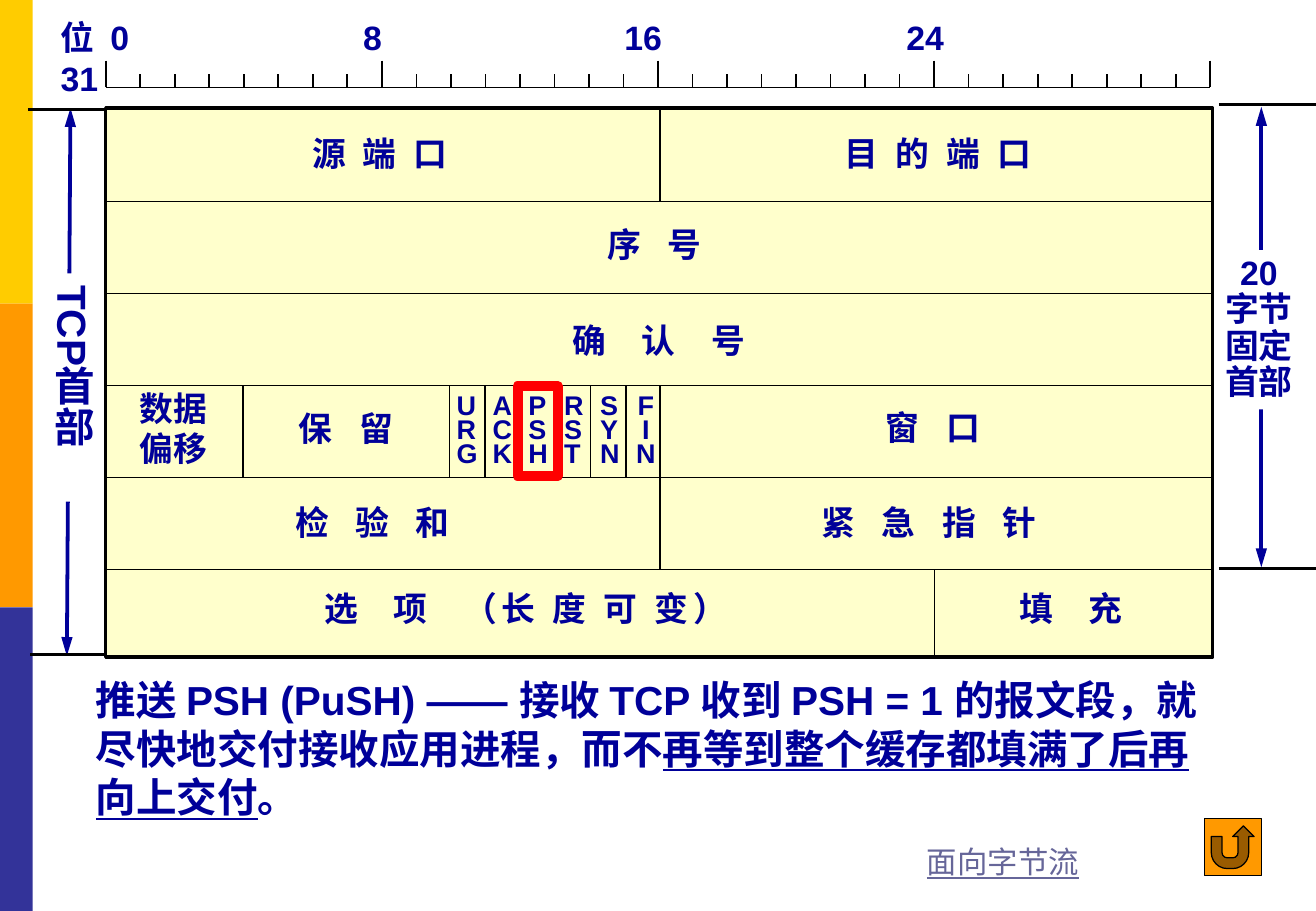
from dataclasses import dataclass

from lxml.etree import SubElement
from pptx import Presentation
from pptx.dml.color import RGBColor
from pptx.enum.shapes import MSO_CONNECTOR, MSO_SHAPE
from pptx.enum.text import MSO_ANCHOR, PP_ALIGN
from pptx.oxml.ns import qn
from pptx.util import Inches, Pt


@dataclass(frozen=True)
class Theme:
    font: str = "Arial"
    ink: str = "000099"
    line: str = "000000"
    paper: str = "FFFFFF"
    field: str = "FFFFCC"
    highlight: str = "FF0000"
    link: str = "666699"
    yellow: str = "FFCC00"
    orange: str = "FF9900"
    indigo: str = "333399"
    body_size: int = 24
    label_size: int = 20
    link_size: int = 18
    flag_size: int = 16


class SlideBuilder:
    def __init__(self, slide, theme):
        self.slide = slide
        self.theme = theme

    def box(self, left, top, width, height, fill=None, line=None, weight=1,
            kind=MSO_SHAPE.RECTANGLE):
        shape = self.slide.shapes.add_shape(
            kind, Inches(left), Inches(top), Inches(width), Inches(height))
        shape.shadow.inherit = False
        if fill:
            shape.fill.solid()
            shape.fill.fore_color.rgb = RGBColor.from_string(fill)
        else:
            shape.fill.background()
        if line:
            shape.line.color.rgb = RGBColor.from_string(line)
            shape.line.width = Pt(weight)
        else:
            shape.line.fill.background()
        return shape

    def line(self, x1, y1, x2, y2, weight=1, color=None, arrows=False):
        connector = self.slide.shapes.add_connector(
            MSO_CONNECTOR.STRAIGHT, Inches(x1), Inches(y1), Inches(x2), Inches(y2))
        connector.line.color.rgb = RGBColor.from_string(color or self.theme.line)
        connector.line.width = Pt(weight)
        properties = connector._element.spPr
        if arrows:
            outline = properties.find(qn("a:ln"))
            for end in ("a:headEnd", "a:tailEnd"):
                SubElement(outline, qn(end), type="triangle", w="med", len="lg")
        SubElement(properties, qn("a:effectLst"))

    def text(self, left, top, width, height, *lines, wrap=False, **style):
        shape = self.slide.shapes.add_textbox(
            Inches(left), Inches(top), Inches(width), Inches(height))
        shape.text_frame.word_wrap = wrap
        self.add_lines(shape, lines, **style)
        return shape

    def add_lines(self, shape, lines, size=None, color=None, bold=True,
                  align=PP_ALIGN.LEFT, spacing=None):
        """Each line is a string or a list of (text, underline, tracking in points)."""
        frame = shape.text_frame
        for index, line in enumerate(lines):
            paragraph = frame.paragraphs[0] if index == 0 else frame.add_paragraph()
            paragraph.alignment = align
            if spacing:
                paragraph.line_spacing = spacing
            for text, underline, tracking in [(line, False, 0)] if isinstance(line, str) else line:
                run = paragraph.add_run()
                run.text = text
                font = run.font
                font.name = self.theme.font
                font.size = Pt(size or self.theme.label_size)
                font.bold = bold
                font.underline = underline
                font.color.rgb = RGBColor.from_string(color or self.theme.ink)
                properties = run._r.get_or_add_rPr()
                properties.set("lang", "zh-CN")
                if tracking:
                    properties.set("spc", str(round(tracking * 100)))

    def tab_stops(self, paragraph, positions):
        stops = SubElement(paragraph._p.get_or_add_pPr(), qn("a:tabLst"))
        for position in positions:
            SubElement(stops, qn("a:tab"), pos=str(Inches(position)), algn="l")


NARROW, MEDIUM, WIDE = 2.8, 5.6, 8.3
FIELD_LABELS = [
    (6.85, 1.04, 1.79, [("目 的 端 口", False, NARROW)]),
    (2.47, 1.04, 1.36, [("源 端 口", False, NARROW)]),
    (4.9, 1.79, 1.64, [("序 号", False, MEDIUM)]),
    (4.61, 2.58, 2.18, [("确 认 号", False, WIDE)]),
    (2.36, 3.31, 1, [("保 留", False, MEDIUM)]),
    (7.19, 3.3, 1, [("窗 口", False, MEDIUM)]),
    (2.33, 4.08, 1.51, [("检 验 和", False, MEDIUM)]),
    (6.66, 4.08, 2.02, [("紧 急 指 针", False, MEDIUM)]),
    (2.57, 4.79, 3.79, [("选 项 ", False, WIDE), ("（长 度 可 变）", False, NARROW)]),
    (8.29, 4.79, 1.49, [("填 充", False, WIDE)]),
]
FLAGS = ["URG", "ACK", "PSH", "RST", "SYN", "FIN"]


def draw_spans(builder):
    """Vertical arrows that measure the whole header and its fixed part."""
    theme = builder.theme
    builder.line(0.58, 0.89, 0.55, 5.4, 2.25, theme.ink, arrows=True)
    header = builder.box(0.3, 2.25, 0.56, 1.88, theme.paper)
    header.text_frame.vertical_anchor = MSO_ANCHOR.MIDDLE
    header.text_frame._txBody.bodyPr.set("vert", "eaVert")
    builder.add_lines(header, ["TCP首部"], size=theme.body_size, spacing=0.9)

    builder.line(10.38, 0.88, 10.38, 4.67, 2.25, theme.ink, arrows=True)
    fixed = builder.box(9.98, 2.06, 0.76, 1.31, theme.paper)
    fixed.text_frame.vertical_anchor = MSO_ANCHOR.TOP
    fixed.text_frame.word_wrap = False
    builder.add_lines(fixed, ["20", "字节", "固定", "首部"], align=PP_ALIGN.CENTER, spacing=0.9)

    for left, right, y in [(10.03, 10.83, 0.86), (10.03, 10.83, 4.68),
                           (0.23, 0.86, 0.9), (0.25, 0.88, 5.39)]:
        builder.line(left, y, right, y, 1.5)


def draw_ruler(builder):
    left, right, base = 0.87, 9.96, 0.72
    builder.line(left, base, right, base)
    for bit in range(33):
        x = left + bit * (right - left) / 32
        builder.line(x, 0.5 if bit % 8 == 0 else 0.61, x, base)
    numbers = builder.text(0.4, 0.09, 9.75, 0.77, "位\t0\t8\t16\t24", "31", wrap=True)
    builder.tab_stops(numbers.text_frame.paragraphs[0], [0.41, 2.49, 4.64, 6.96])


def draw_header(builder):
    theme = builder.theme
    builder.box(0.87, 0.89, 9.11, 4.52, theme.field, theme.line, 2)
    row_edges = [0.9 + 0.758 * row for row in range(6)]
    for y in row_edges[1:]:
        builder.line(0.87, y, 9.98, y)
    flag_edges = [3.7 + 0.29 * index for index in range(6)]
    dividers = [(5.43, 0, 1), (5.43, 3, 5), *((x, 3, 4) for x in [2, *flag_edges])]
    for x, first, last in dividers:
        builder.line(x, row_edges[first], x, row_edges[last])
    builder.line(7.69, row_edges[5], 7.69, 5.41)

    for left, top, width, label in FIELD_LABELS:
        builder.text(left, top, width, 0.43, label)
    builder.text(1.05, 3.14, 0.76, 0.77, "数据", "偏移")
    for index, flag in enumerate(FLAGS):
        builder.text(3.66 + 0.295 * index, 3.21, 0.36, 0.7, *flag, size=theme.flag_size,
                     spacing=0.75, align=PP_ALIGN.CENTER if flag == "FIN" else PP_ALIGN.LEFT)
    builder.box(4.26, 3.18, 0.33, 0.74, line=theme.highlight, weight=6)


def main():
    presentation = Presentation()
    presentation.slide_width, presentation.slide_height = Inches(10.83), Inches(7.5)
    theme = Theme()
    blank_layout = presentation.slide_layouts[6]
    builder = SlideBuilder(presentation.slides.add_slide(blank_layout), theme)

    for index, color in enumerate([theme.yellow, theme.orange, theme.indigo]):
        builder.box(0, 2.5 * index, 0.27, 2.5, color)
    draw_spans(builder)
    draw_header(builder)
    draw_ruler(builder)

    explanation = [
        ("推送 PSH (PuSH) —— 接收 TCP 收到 PSH = 1 的报文段，就尽快地交付接收应用进程，而不", False, 0),
        ("再等到整个缓存都填满了后再向上交付", True, 0),
        ("。", False, 0),
    ]
    builder.text(0.69, 5.51, 9.46, 1.31, explanation, wrap=True, size=theme.body_size)
    builder.text(7.53, 6.89, 1.45, 0.4, [("面向字节流", True, 0)],
                 size=theme.link_size, color=theme.link, bold=False)
    builder.box(9.91, 6.74, 0.47, 0.47, theme.orange, theme.line, 0.75,
                kind=MSO_SHAPE.ACTION_BUTTON_RETURN)
    presentation.save("out.pptx")


if __name__ == "__main__":
    main()
